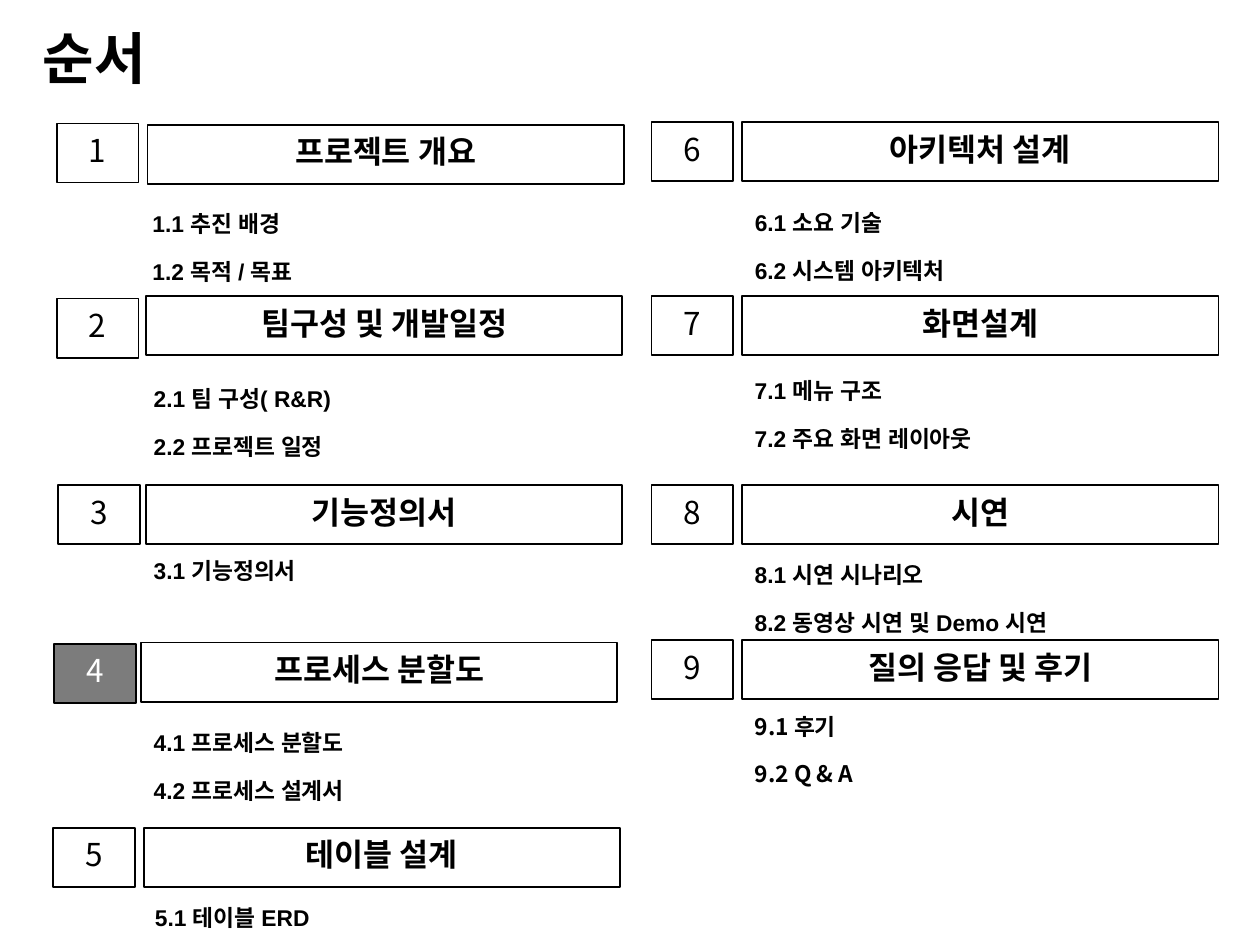
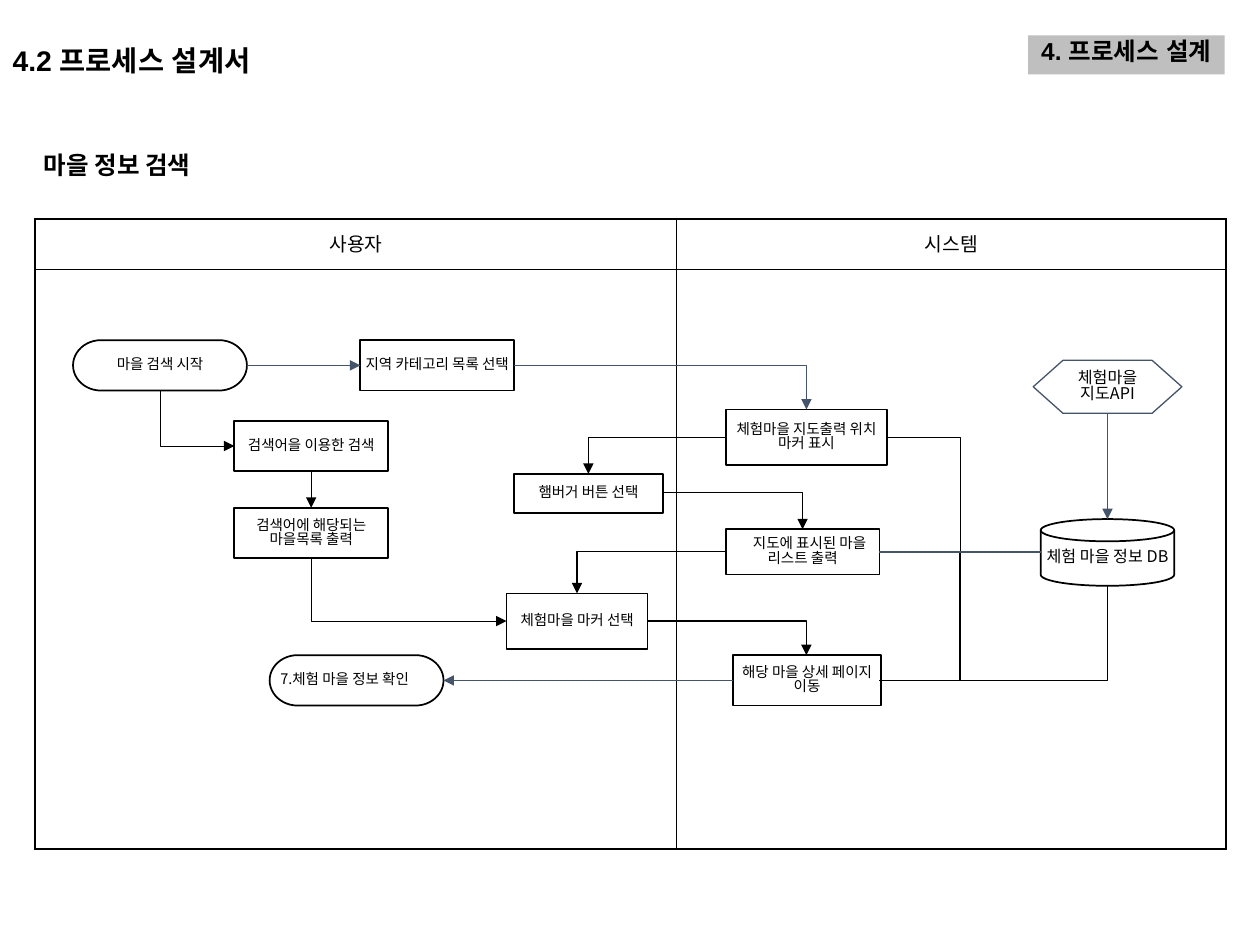
"""Build the agenda slide and the village search process slide."""
import lxml.etree
import pptx
import pptx.dml.color
import pptx.enum.shapes
import pptx.enum.text
import pptx.oxml.ns
import pptx.util

PX = 9144
ARIAL, NOTO = "Arial", "Noto Sans CJK KR"
BLACK, WHITE, SLATE = "000000", "FFFFFF", "44546A"
SHAPE = pptx.enum.shapes.MSO_SHAPE
CONNECTOR = pptx.enum.shapes.MSO_CONNECTOR
LEFT, CENTER = pptx.enum.text.PP_ALIGN.LEFT, pptx.enum.text.PP_ALIGN.CENTER
TOP, MIDDLE = pptx.enum.text.MSO_ANCHOR.TOP, pptx.enum.text.MSO_ANCHOR.MIDDLE
qn = pptx.oxml.ns.qn


def colour(value):
    return pptx.dml.color.RGBColor.from_string(value)


def write(holder, lines, size, font=NOTO, ink=BLACK, bold=False, align=CENTER, anchor=MIDDLE,
          inset=(10, 5), spacing=0.83, before=0, indent=0, fill=None, line=None, weight=1):
    frame = holder.text_frame
    frame_format = {
        "word_wrap": True, "auto_size": pptx.enum.text.MSO_AUTO_SIZE.NONE, "vertical_anchor": anchor,
        "margin_left": inset[0] * PX, "margin_right": inset[0] * PX,
        "margin_top": inset[1] * PX, "margin_bottom": inset[1] * PX,
    }
    for name, value in frame_format.items():
        setattr(frame, name, value)
    for position, words in enumerate(lines):
        paragraph = frame.paragraphs[0] if position == 0 else frame.add_paragraph()
        run = paragraph.add_run()
        run.text = words
        paragraph_format = {"alignment": align, "line_spacing": spacing, "space_before": pptx.util.Pt(before)}
        for name, value in paragraph_format.items():
            setattr(paragraph, name, value)
        properties = paragraph._p.get_or_add_pPr()
        properties.set("marL", "0")
        properties.set("indent", str(indent * PX))
        lxml.etree.SubElement(properties, qn("a:buNone"))
        for name, value in {"name": font, "size": pptx.util.Pt(size), "bold": bold}.items():
            setattr(run.font, name, value)
        run.font.color.rgb = colour(ink)
        east_asian = lxml.etree.SubElement(run.font._element, qn("a:ea"))
        east_asian.set("typeface", font)
    if fill or line:
        holder.shadow.inherit = False
        if fill:
            holder.fill.solid()
            holder.fill.fore_color.rgb = colour(fill)
        else:
            holder.fill.background()
        if line:
            holder.line.color.rgb = colour(line)
            holder.line.width = pptx.util.Pt(weight)
        else:
            holder.line.fill.background()


deck = pptx.Presentation()
deck.slide_width, deck.slide_height = 1000 * PX, 750 * PX
comparison_layout, title_layout = deck.slide_layouts[4], deck.slide_layouts[5]

agenda = deck.slides.add_slide(comparison_layout)
process = deck.slides.add_slide(title_layout)

titles = [
    (agenda, (24, 15, 112, 67), "순서", {"size": 32, "spacing": 0.9}),
    (process, (0, 11, 237, 68), "4.2 프로세스 설계서", {"size": 16.2, "font": ARIAL, "spacing": 1.2}),
]
for slide, place, words, look in titles:
    heading = slide.shapes.title
    for name, value in zip(("left", "top", "width", "height"), place):
        setattr(heading, name, value * PX)
    write(heading, [words], bold=True, align=LEFT, **look)

topic_lists = [
    (119, 157, 378, 76, ["1.1 추진 배경", "1.2 목적 / 목표"], ARIAL, 1.2),
    (120, 296, 378, 75, ["2.1 팀 구성( R&R)", "2.2 프로젝트 일정"], ARIAL, 1.2),
    (120, 569, 378, 75, ["4.1 프로세스 분할도", "4.2 프로세스 설계서"], ARIAL, 1.2),
    (597, 156, 374, 76, ["6.1 소요 기술", "6.2 시스템 아키텍처"], ARIAL, 1.2),
    (597, 290, 374, 76, ["7.1 메뉴 구조", "7.2 주요 화면 레이아웃"], ARIAL, 1.2),
    (597, 436, 374, 76, ["8.1 시연 시나리오", "8.2 동영상 시연 및 Demo 시연"], ARIAL, 1.2),
    (120, 433, 378, 36, ["3.1 기능정의서"], ARIAL, 1.2),
    (121, 708, 378, 36, ["5.1 테이블 ERD"], ARIAL, 1.2),
    (597, 564, 89, 32, ["9.1 후기"], NOTO, 0.83),
    (597, 598, 371, 36, ["9.2 Q & A"], NOTO, 1.0),
]
bodies = [holder for holder in agenda.placeholders if holder.placeholder_format.idx > 0]
for x, y, width, height, topics, font, spacing in topic_lists:
    topic_list = bodies.pop(0) if bodies else agenda.shapes.add_textbox(0, 0, 0, 0)
    for name, value in {"left": x, "top": y, "width": width, "height": height}.items():
        setattr(topic_list, name, value * PX)
    write(topic_list, topics, 13, font, bold=True, align=LEFT, anchor=TOP,
          inset=(2, 5), spacing=spacing, before=8.7)

sections = [
    ("프로젝트 개요", (45, 98), (117, 99)),
    ("팀구성 및 개발일정", (45, 237), (116, 235)),
    ("기능정의서", (46, 385), (116, 385)),
    ("프로세스 분할도", (43, 511), (112, 510)),
    ("테이블 설계", (42, 657), (114, 657)),
    ("아키텍처 설계", (517, 97), (589, 97)),
    ("화면설계", (517, 235), (589, 235)),
    ("시연", (517, 385), (589, 385)),
    ("질의 응답 및 후기", (517, 508), (589, 508)),
]
current_section = 4
for number, (name, number_at, name_at) in enumerate(sections, 1):
    current = number == current_section
    parts = [
        (name_at, 378, name, {"bold": True}),
        (number_at, 65, str(number), {"fill": "7C7C7C", "ink": WHITE} if current else {}),
    ]
    for (x, y), width, words, look in parts:
        part = agenda.shapes.add_shape(SHAPE.RECTANGLE, x * PX, y * PX, width * PX, 47 * PX)
        write(part, [words], 18, line=BLACK, **look)

lanes = process.shapes.add_table(2, 2, 28 * PX, 174 * PX, 945 * PX, 500 * PX).table
lanes.first_row = lanes.horz_banding = False
for column, width in zip(lanes.columns, (509, 436)):
    column.width = width * PX
for row, height in zip(lanes.rows, (40, 460)):
    row.height = height * PX
for row in range(2):
    for column in range(2):
        cell = lanes.cell(row, column)
        outer = {"a:lnL": column == 0, "a:lnR": column == 1, "a:lnT": row == 0, "a:lnB": row == 1}
        cell_properties = cell._tc.get_or_add_tcPr()
        for side, is_outer in outer.items():
            border = lxml.etree.SubElement(cell_properties, qn(side), w="19050" if is_outer else "9525")
            ink = lxml.etree.SubElement(border, qn("a:solidFill"))
            lxml.etree.SubElement(ink, qn("a:srgbClr"), val=BLACK)
        cell.fill.background()
        cell.vertical_anchor = MIDDLE
for column, lane in enumerate(("사용자", "시스템")):
    write(lanes.cell(0, column), [lane], 11)

STEP = {"size": 8.3, "inset": (2, 0), "fill": WHITE, "line": BLACK}
SYSTEM_STEP = {**STEP, "inset": (4, 4)}
TERMINATOR, BOX, PROCESS = SHAPE.FLOWCHART_TERMINATOR, SHAPE.RECTANGLE, SHAPE.FLOWCHART_PROCESS
steps = [
    ("start", TERMINATOR, (58, 270, 138, 40), ["마을 검색 시작"], STEP),
    ("category", BOX, (286, 270, 122, 40), ["지역 카테고리 목록 선택"], STEP),
    ("map", PROCESS, (576, 325, 128, 44), ["체험마을 지도출력 위치 마커 표시"], SYSTEM_STEP),
    ("menu", BOX, (408, 376, 118, 31), ["햄버거 버튼 선택"], STEP),
    ("database", SHAPE.FLOWCHART_MAGNETIC_DISK, (826, 412, 106, 53), ["체험 마을 정보 DB"],
     {**STEP, "size": 9.2, "inset": (4, 0)}),
    ("list", PROCESS, (576, 420, 122, 36), ["지도에 표시된 마을 리스트 출력"], {**SYSTEM_STEP, "indent": 11}),
    ("marker", BOX, (402, 471, 112, 44), ["체험마을 마커 선택"], STEP),
    ("confirm", TERMINATOR, (214, 520, 138, 40), ["7.체험 마을 정보 확인"],
     {**STEP, "align": LEFT}),
    ("detail", BOX, (582, 520, 117, 40), ["해당 마을 상세 페이지 이동"], STEP),
    ("api", SHAPE.FLOWCHART_PREPARATION, (820, 286, 118, 42), ["체험마을 지도API"],
     {**STEP, "size": 9.2, "inset": (9, 9), "line": SLATE, "weight": 0.75}),
    ("search", BOX, (186, 334, 122, 40), ["검색어을 이용한 검색"], STEP),
    ("results", BOX, (186, 403, 122, 40), ["검색어에 해당되는", "마을목록 출력"], STEP),
    ("chapter", BOX, (816, 28, 156, 31), ["4. 프로세스 설계"],
     {"size": 14, "font": ARIAL, "bold": True, "anchor": TOP, "inset": (0, 5),
      "spacing": 0.8, "before": 7.5, "fill": "BFBFBF"}),
]
flow = {}
for key, kind, place, words, look in steps:
    flow[key] = process.shapes.add_shape(kind, *(value * PX for value in place))
    write(flow[key], words, **look)

subject = process.shapes.add_textbox(13 * PX, 112 * PX, 160 * PX, 42 * PX)
write(subject, ["마을 정보 검색"], 14, bold=True)

HEAD, TAIL = "a:headEnd", "a:tailEnd"
elbows = [
    ((826, 438, 704, 347), BLACK, 0.75, None, 52400),
    ((826, 438, 698, 540), BLACK, 0.75, None, 50000),
    ((576, 347, 467, 376), BLACK, 0.75, TAIL, None),
    ((526, 391, 637, 420), BLACK, 0.75, TAIL, None),
    ((576, 438, 458, 471), BLACK, 0.75, TAIL, None),
    ((514, 493, 640, 520), BLACK, 0.75, TAIL, None),
    ((408, 290, 640, 325), SLATE, 0.75, TAIL, None),
    ((699, 540, 879, 465), BLACK, 0.75, None, None),
    ((402, 493, 247, 443), BLACK, 0.5, HEAD, None),
    ((186, 354, 127, 310), BLACK, 0.5, HEAD, None),
]
straights = [
    ((879, 328, 879, 412), SLATE, 0.75, TAIL, ("api", 2), None),
    ((698, 438, 826, 438), SLATE, 0.75, None, ("list", 3), None),
    ((582, 540, 352, 540), SLATE, 0.75, TAIL, ("detail", 1), ("confirm", 3)),
    ((196, 290, 286, 290), SLATE, 0.75, TAIL, ("start", 3), ("category", 1)),
    ((247, 374, 247, 403), BLACK, 0.5, TAIL, ("search", 2), ("results", 0)),
]
links = []
for points, ink, weight, arrow, bend in elbows:
    link = process.shapes.add_connector(CONNECTOR.ELBOW, *(value * PX for value in points))
    geometry = link._element.spPr.find(qn("a:prstGeom"))
    if bend:
        guides = geometry.find(qn("a:avLst"))
        lxml.etree.SubElement(guides, qn("a:gd"), name="adj1", fmla=f"val {bend}")
    else:
        geometry.set("prst", "bentConnector2")
    links.append((link, ink, weight, arrow))
for points, ink, weight, arrow, source, target in straights:
    link = process.shapes.add_connector(CONNECTOR.STRAIGHT, *(value * PX for value in points))
    if source:
        link.begin_connect(flow[source[0]], source[1])
    if target:
        link.end_connect(flow[target[0]], target[1])
    links.append((link, ink, weight, arrow))
for link, ink, weight, arrow in links:
    link.line.color.rgb = colour(ink)
    link.line.width = pptx.util.Pt(weight)
    if arrow:
        lxml.etree.SubElement(link.line._get_or_add_ln(), qn(arrow), type="triangle")
    lxml.etree.SubElement(link._element.spPr, qn("a:effectLst"))

deck.save("out.pptx")
